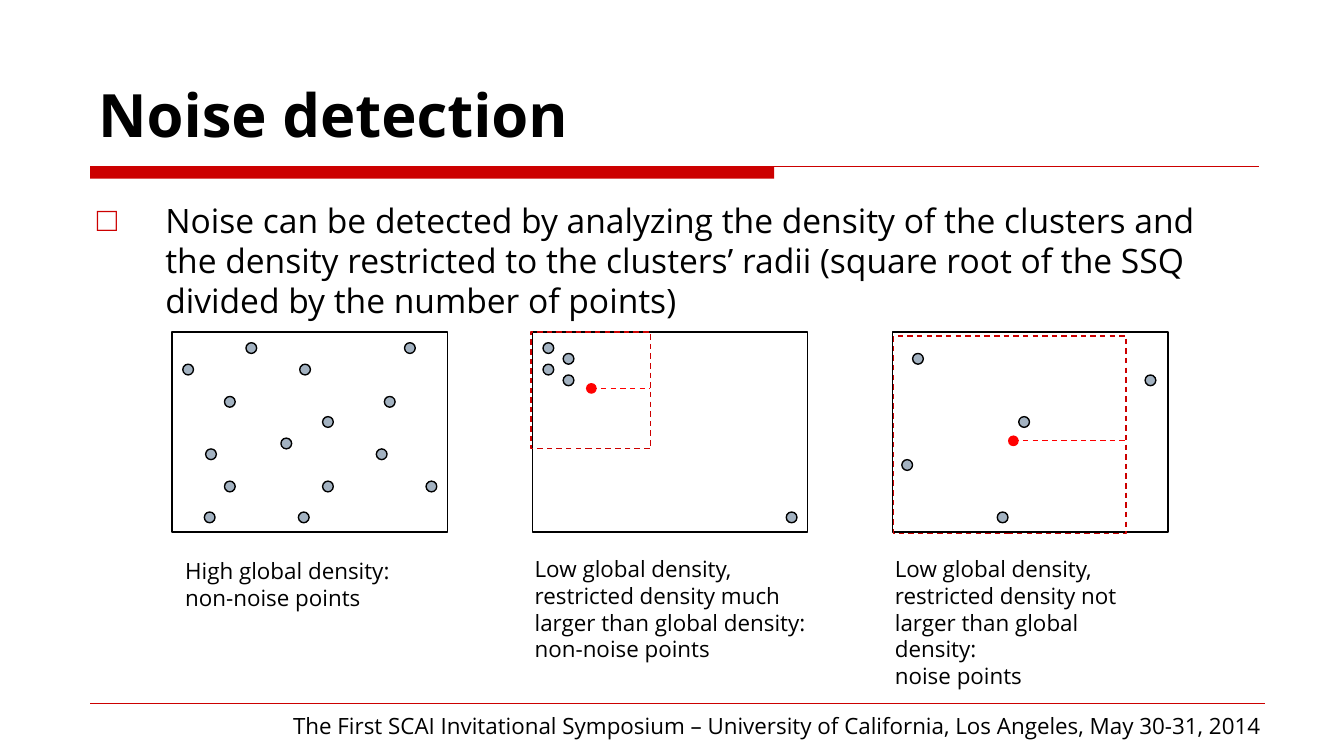
from dataclasses import dataclass

from lxml import etree
from pptx import Presentation
from pptx.dml.color import RGBColor
from pptx.enum.dml import MSO_LINE
from pptx.enum.shapes import MSO_CONNECTOR, MSO_SHAPE
from pptx.enum.text import MSO_ANCHOR, MSO_AUTO_SIZE, PP_ALIGN
from pptx.oxml.ns import qn
from pptx.util import Inches, Pt

RECT, OVAL = MSO_SHAPE.RECTANGLE, MSO_SHAPE.OVAL
STRAIGHT, DASH = MSO_CONNECTOR.STRAIGHT, MSO_LINE.DASH
TOP, BOTTOM = MSO_ANCHOR.TOP, MSO_ANCHOR.BOTTOM
LEFT, RIGHT = PP_ALIGN.LEFT, PP_ALIGN.RIGHT
FIXED_SIZE = MSO_AUTO_SIZE.NONE
SLIDE_WIDTH = 10
SLIDE_HEIGHT = SLIDE_WIDTH * 9 / 16


@dataclass(frozen=True)
class Theme:
    """Colours, font and type sizes of the slide."""
    ink: str = "000000"
    accent: str = "CC0000"
    radius: str = "FF0000"
    centroid: str = "FF0101"
    point: str = "A3B2C1"
    font: str = "Open Sans"
    title: float = 32
    body: float = 18
    small: float = 12
    body_leading: float = 21.4
    small_leading: float = 14.4
    hairline: float = 0.25
    outline: float = 0.75


THEME = Theme()
DOT = 0.08
PANEL_LEFT, PANEL_TOP, PANEL_PITCH = 1.28, 2.47, 2.68
PANEL_SIZE = (2.05, 1.49)


@dataclass(frozen=True)
class Panel:
    """A cluster example; positions are relative to the panel's corner."""
    points: tuple
    caption_box: tuple
    caption: tuple
    radius_box: tuple = ()
    centroid: tuple = ()


PANELS = (
    Panel(
        points=((0.55, 0.08), (1.73, 0.08), (0.08, 0.24), (0.95, 0.24),
                (0.39, 0.48), (1.58, 0.48), (1.12, 0.63), (0.81, 0.79),
                (0.25, 0.87), (1.52, 0.87), (0.39, 1.11), (1.12, 1.11),
                (1.89, 1.11), (0.24, 1.34), (0.94, 1.34)),
        caption_box=(0, 1.63, 1.94, 0.5),
        caption=("High global density: ", "non-noise points"),
    ),
    Panel(
        points=((0.08, 0.08), (0.23, 0.16), (0.08, 0.24), (0.23, 0.32),
                (1.89, 1.34)),
        caption_box=(-0.08, 1.61, 2.3, 1.1),
        caption=("Low global density,",
                 "restricted density much larger than global density: ",
                 "non-noise points"),
        radius_box=(-0.01, 0, 0.89, 0.87),
        centroid=(0.4, 0.38),
    ),
    Panel(
        points=((0.15, 0.16), (0.07, 0.95), (0.78, 1.34), (1.88, 0.32),
                (0.94, 0.63)),
        caption_box=(-0.08, 1.61, 2.15, 1.1),
        caption=("Low global density,",
                 "restricted density not larger than global density: ",
                 "noise points"),
        radius_box=(0.01, 0.03, 1.73, 1.47),
        centroid=(0.86, 0.77),
    ),
)


def color(value):
    """Turn a hex string into a colour."""
    return RGBColor.from_string(value)


def place(shape, box):
    """Move and size a shape to a box in inches."""
    shape.left, shape.top, shape.width, shape.height = map(Inches, box)


def write(frame, paragraphs, size, leading=None, bold=False, align=LEFT, anchor=TOP):
    """Fill a text frame with one run per paragraph."""
    frame.word_wrap = True
    frame.auto_size = FIXED_SIZE
    frame.vertical_anchor = anchor
    for index, wording in enumerate(paragraphs):
        paragraph = frame.add_paragraph() if index else frame.paragraphs[0]
        paragraph.alignment = align
        paragraph.space_before = Pt(0)
        if leading:
            paragraph.line_spacing = Pt(leading)
        run = paragraph.add_run()
        run.text = wording
        run.font.name, run.font.size, run.font.bold = THEME.font, Pt(size), bold
        run.font.color.rgb = color(THEME.ink)


def add_text(slide, box, paragraphs, align=LEFT):
    """Add a text box in the small type size."""
    text_box = slide.shapes.add_textbox(*map(Inches, box))
    write(text_box.text_frame, paragraphs, THEME.small, THEME.small_leading, align=align)


def add_figure(slide, kind, box, fill=None, line=None, dash=None):
    """Add a preset shape without a shadow."""
    figure = slide.shapes.add_shape(kind, *map(Inches, box))
    figure.shadow.inherit = False
    if fill:
        figure.fill.solid()
        figure.fill.fore_color.rgb = color(fill)
    else:
        figure.fill.background()
    if line:
        figure.line.color.rgb = color(line)
        figure.line.width = Pt(THEME.outline)
        figure.line.dash_style = dash
    else:
        figure.line.fill.background()


def add_rule(slide, left, right, y, line, width, dash=None):
    """Add a horizontal line without a shadow."""
    rule = slide.shapes.add_connector(
        STRAIGHT, Inches(left), Inches(y), Inches(right), Inches(y))
    rule.line.color.rgb = color(line)
    rule.line.width = Pt(width)
    rule.line.dash_style = dash
    etree.SubElement(rule._element.spPr, qn("a:effectLst"))


def add_header(slide, box):
    """Place the title with its red bar and thin rule below."""
    place(slide.shapes.title, box)
    write(slide.shapes.title.text_frame, ["Noise detection"], THEME.title,
          bold=True, anchor=BOTTOM)
    left, top, _, height = box
    bar_left, bar_top = left + 0.04, top + height + 0.08
    add_figure(slide, RECT, (bar_left, bar_top, 5.09, 0.09), fill=THEME.accent)
    add_rule(slide, bar_left, bar_left + 8.7, bar_top, THEME.accent, THEME.outline)


def add_statement(slide, box):
    """Place the bulleted statement in the body placeholder."""
    body = slide.placeholders[1]
    place(body, box)
    write(body.text_frame, [
        "Noise can be detected by analyzing the density of the clusters and "
        "the density restricted to the clusters’ radii (square root of the SSQ "
        "divided by the number of points)"], THEME.body, THEME.body_leading)
    properties = body.text_frame.paragraphs[0]._p.get_or_add_pPr()
    properties.set("marL", str(Inches(0.51)))
    properties.set("indent", str(-Inches(0.51)))
    bullet_color = etree.SubElement(properties, qn("a:buClr"))
    etree.SubElement(bullet_color, qn("a:srgbClr"), val=THEME.accent)
    etree.SubElement(properties, qn("a:buChar"), char="□")


def add_panel(slide, left, top, panel):
    """Draw a cluster with its points, restricted radius and caption."""
    add_figure(slide, RECT, (left, top, *PANEL_SIZE), line=THEME.ink)
    for x, y in panel.points:
        add_figure(slide, OVAL, (left + x, top + y, DOT, DOT), THEME.point, THEME.ink)
    x, y, width, height = panel.caption_box
    add_text(slide, (left + x, top + y, width, height), panel.caption)
    if panel.radius_box:
        x, y, width, height = panel.radius_box
        add_figure(slide, RECT, (left + x, top + y, width, height),
                   line=THEME.accent, dash=DASH)
        center_x, center_y = left + panel.centroid[0], top + panel.centroid[1]
        add_rule(slide, center_x + DOT / 2, left + x + width, center_y + DOT / 2,
                 THEME.radius, THEME.outline, DASH)
        add_figure(slide, OVAL, (center_x, center_y, DOT, DOT), THEME.centroid)


def add_footer(slide, box):
    """Place the footer line and the event name."""
    left, top, width, _ = box
    add_rule(slide, left + 0.47, left + width - 0.08, top - 0.02,
             THEME.accent, THEME.hairline)
    add_text(slide, box, [
        "The First SCAI Invitational Symposium – University of California, "
        "Los Angeles, May 30-31, 2014"], RIGHT)


def build():
    """Build and save the slide."""
    deck = Presentation()
    deck.slide_width, deck.slide_height = Inches(SLIDE_WIDTH), Inches(SLIDE_HEIGHT)
    slide = deck.slides.add_slide(deck.slide_layouts[1])
    add_header(slide, (0.63, 0.25, 8.75, 0.91))
    add_statement(slide, (0.62, 1.44, 8.75, 3.5))
    for index, panel in enumerate(PANELS):
        add_panel(slide, PANEL_LEFT + index * PANEL_PITCH, PANEL_TOP, panel)
    add_footer(slide, (0.2, 5.25, 9.29, 0.24))
    deck.save("out.pptx")


build()
